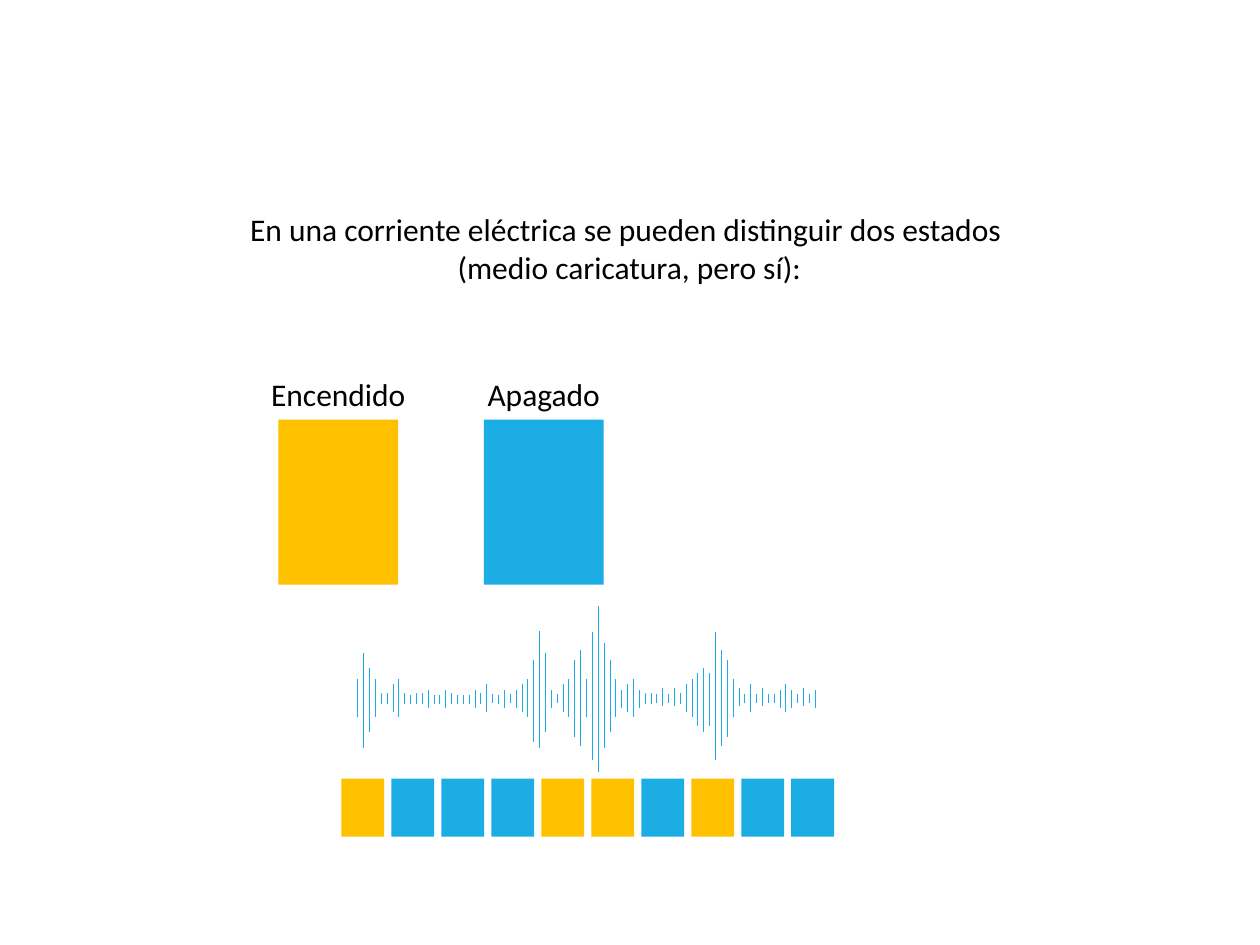
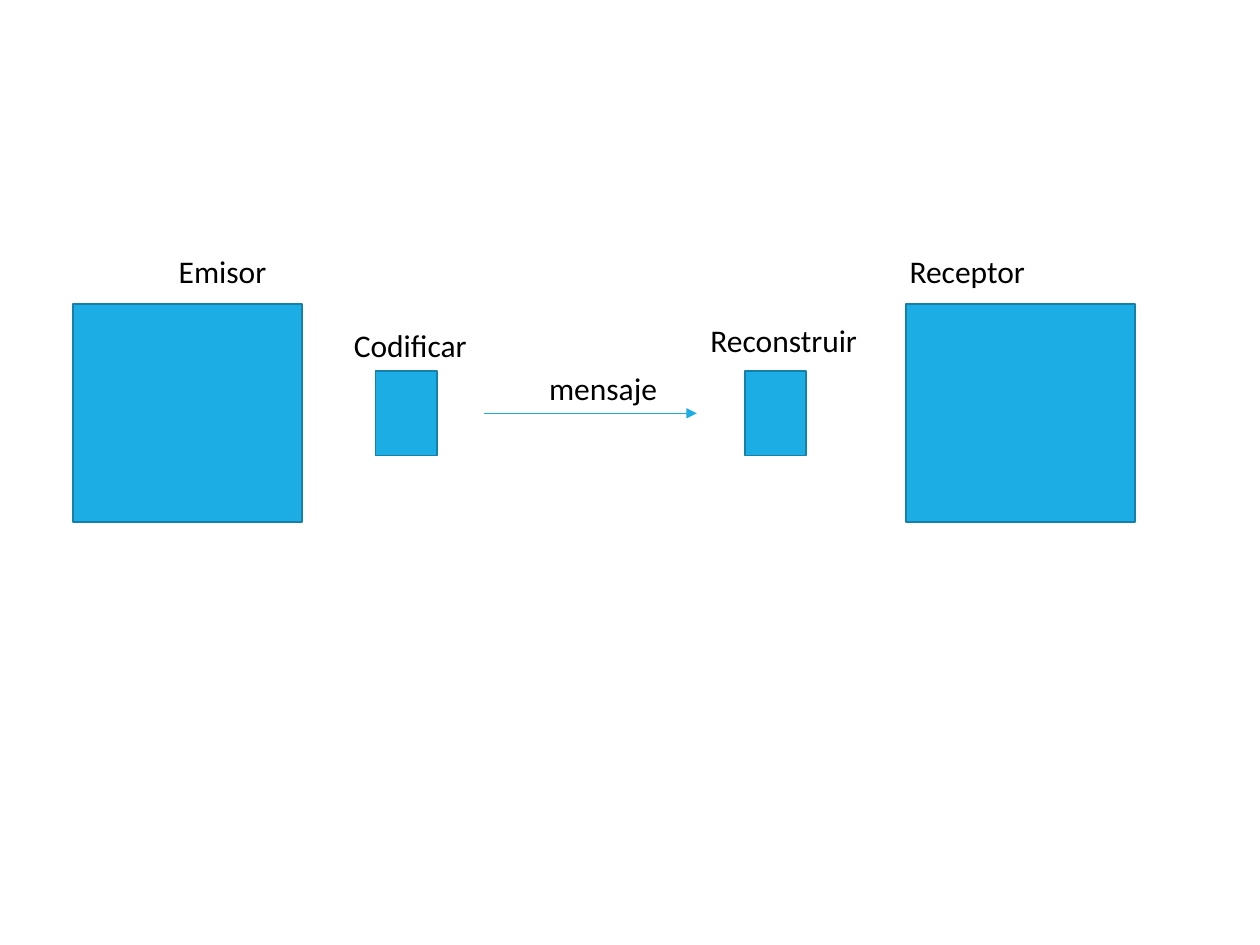
from lxml.etree import SubElement
from pptx import Presentation
from pptx.dml.color import RGBColor
from pptx.enum.shapes import MSO_CONNECTOR, MSO_SHAPE
from pptx.enum.text import MSO_AUTO_SIZE, PP_ALIGN
from pptx.oxml.ns import qn
from pptx.util import Inches, Pt

COLORS = {"on": "FFC000", "off": "1CADE4", "outline": "1580A9", "text": "000000"}
TEXT_FORMAT = {"name": "Calibri", "size": Pt(18)}
SLIDE_SIZE = (10, 7.5)
LABEL_HEIGHT = 0.4

STATEMENT = [
    "En una corriente eléctrica se pueden distinguir dos estados ",
    "(medio caricatura, pero sí):",
]
STATEMENT_PLACE = (1.88, 1.62, 6.23, 0.71)

STATES = [
    {"label": "Encendido", "fill": "on", "left": 2.21, "label_width": 1.27},
    {"label": "Apagado", "fill": "off", "left": 3.84, "label_width": 1.09},
]
STATE_TOP, STATE_SIZE = 3.33, (0.95, 1.31)

BITS = "1000110100"
BIT_FILLS = {"1": "on", "0": "off"}
BIT_SPAN, BIT_TOP, BIT_SIZE = (2.71, 6.28), 6.18, (0.34, 0.46)

WAVE_SPAN, WAVE_AXIS = (2.84, 6.47), 5.54
WAVE_PHRASES = {
    "opening": "gnig",
    "quiet": "ccfgcaccdaadcaaadcfbadbd",
    "first peak": "fglrm",
    "highest peak": "dbfgkogqspjgdfg",
    "lull": "dccbebec",
    "last peak": "fghihqokg",
    "fade": "ebfbebbdfdbebd",
}
REACH_ABOVE = [2, 3, 4, 6, 8, 11, 15, 20, 24, 30, 30, 30, 36, 36, 38, 44, 52, 53, 73]
REACH_BELOW = [5, 4, 5, 8, 6, 11, 15, 22, 27, 27, 31, 35, 27, 40, 38, 40, 49, 40, 59]
REACHES = dict(zip("abcdefghijklmnopqrs", zip(REACH_ABOVE, REACH_BELOW)))

MESSAGE_AXIS, MESSAGE_SPAN = 3.28, (3.84, 5.53)
STAGE_GROUPS = [
    {"size": (1.82, 1.73), "lefts": (0.58, 7.19)},
    {"size": (0.49, 0.67), "lefts": (2.98, 5.91)},
]
STAGE_LABELS = [
    {"label": "Emisor", "left": 1.32, "top": 1.95, "width": 0.9, "wrap": False},
    {"label": "Receptor", "left": 7.12, "top": 1.95, "width": 1.12, "wrap": False},
    {"label": "mensaje", "left": 4.26, "top": 2.88, "width": 1.06, "wrap": False},
    {"label": "Codificar", "left": 2.71, "top": 2.54, "width": 1.24, "wrap": True},
    {"label": "Reconstruir", "left": 5.54, "top": 2.5, "width": 1.42, "wrap": True},
]


def color(name):
    return RGBColor.from_string(COLORS[name])


def spread(span, items):
    first, last = span
    step = (last - first) / (len(items) - 1)
    return [(first + index * step, item) for index, item in enumerate(items)]


def add_block(page, place, fill, outline=None):
    block = page.shapes.add_shape(MSO_SHAPE.RECTANGLE, *map(Inches, place))
    block.shadow.inherit = False
    block.fill.solid()
    block.fill.fore_color.rgb = color(fill)
    if outline:
        block.line.color.rgb = color(outline)
        block.line.width = Pt(1)
    else:
        block.line.fill.background()


def add_text(page, place, lines, align=PP_ALIGN.LEFT, wrap=False):
    frame = page.shapes.add_textbox(*map(Inches, place)).text_frame
    frame.word_wrap = wrap
    frame.auto_size = MSO_AUTO_SIZE.SHAPE_TO_FIT_TEXT
    frame.text = "\n".join(lines)
    for para in frame.paragraphs:
        para.alignment = align
        for span in para.runs:
            span.font.color.rgb = color("text")
            for attribute, value in TEXT_FORMAT.items():
                setattr(span.font, attribute, value)


def add_line(page, start, end, arrow=False):
    line = page.shapes.add_connector(MSO_CONNECTOR.STRAIGHT, *map(Inches, start + end))
    line.line.color.rgb = color("off")
    line.line.width = Pt(0.5)
    properties = line._element.spPr
    if arrow:
        SubElement(properties.find(qn("a:ln")), qn("a:tailEnd"), type="triangle")
    SubElement(properties, qn("a:effectLst"))


def add_states(page):
    width, height = STATE_SIZE
    for state in STATES:
        add_block(page, (state["left"], STATE_TOP, width, height), state["fill"])
        label_width = state["label_width"]
        label_left = state["left"] + (width - label_width) / 2
        place = (label_left, STATE_TOP - LABEL_HEIGHT, label_width, LABEL_HEIGHT)
        add_text(page, place, [state["label"]], PP_ALIGN.CENTER)


def add_bits(page):
    for left, bit in spread(BIT_SPAN, BITS):
        add_block(page, (left, BIT_TOP, *BIT_SIZE), BIT_FILLS[bit])


def add_wave(page):
    for x, level in spread(WAVE_SPAN, "".join(WAVE_PHRASES.values())):
        above, below = REACHES[level]
        add_line(page, (x, WAVE_AXIS - above / 100), (x, WAVE_AXIS + below / 100))


def build_current(page):
    add_states(page)
    add_bits(page)
    add_wave(page)
    add_text(page, STATEMENT_PLACE, STATEMENT, PP_ALIGN.CENTER)


def build_message(page):
    for group in STAGE_GROUPS:
        width, height = group["size"]
        for left in group["lefts"]:
            place = (left, MESSAGE_AXIS - height / 2, width, height)
            add_block(page, place, "off", "outline")
    start, end = MESSAGE_SPAN
    add_line(page, (start, MESSAGE_AXIS), (end, MESSAGE_AXIS), arrow=True)
    for stage in STAGE_LABELS:
        place = (stage["left"], stage["top"], stage["width"], LABEL_HEIGHT)
        add_text(page, place, [stage["label"]], wrap=stage["wrap"])


def main():
    deck = Presentation()
    deck.slide_width, deck.slide_height = map(Inches, SLIDE_SIZE)
    blank_layout = deck.slide_layouts.get_by_name("Blank")
    for build in (build_current, build_message):
        build(deck.slides.add_slide(blank_layout))
    deck.save("out.pptx")


if __name__ == "__main__":
    main()
